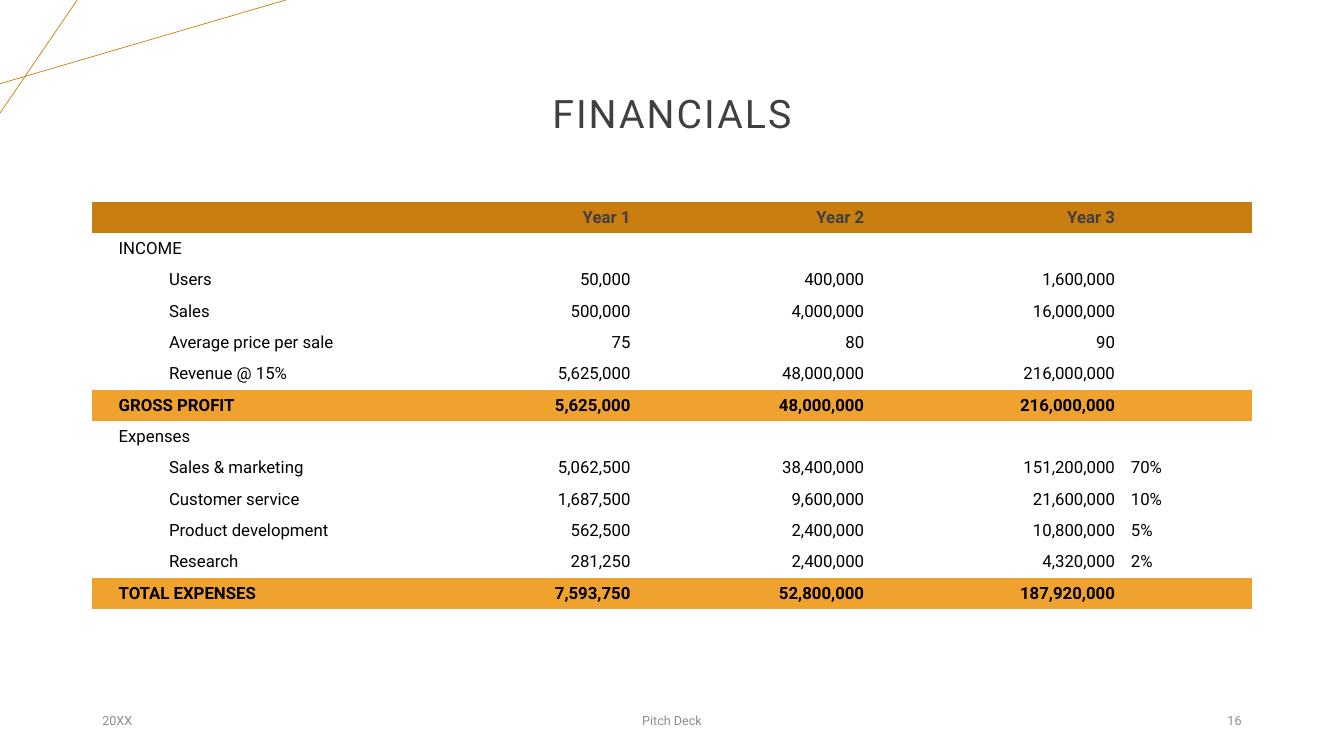
from lxml.etree import SubElement
from pptx import Presentation
from pptx.dml.color import RGBColor as Rgb
from pptx.enum.shapes import MSO_CONNECTOR as Connector
from pptx.enum.text import MSO_ANCHOR as Anchor, PP_ALIGN as Align
from pptx.oxml.ns import qn
from pptx.util import Cm, Pt

COLORS = {
    "header": "C87D0E",
    "total": "F0A22E",
    "heading": "404040",
    "body": "000000",
    "footer": "8C8C8C",
}
FONT = "Roboto"
NO_GRID_STYLE = "{2D5ABB26-0587-4C30-8999-92F81FD0307C}"
LEFT, CONTENT_WIDTH = 2.33, 29.21
COLUMN_WIDTHS = [8.98, 4.78, 5.89, 6.32, 3.24]
ROW_HEIGHT = 0.79
CELL_INSETS = {"margin_left": 0.2, "margin_top": 0.1, "margin_right": 0.2, "margin_bottom": 0.1}
LABEL_INSET = 0.66
ITEM_INDENT = 1.27

FINANCIALS = [
    ("header", ["", "Year 1", "Year 2", "Year 3", ""]),
    ("section", ["INCOME", "", "", "", ""]),
    ("item", ["Users", "50,000", "400,000", "1,600,000", ""]),
    ("item", ["Sales", "500,000", "4,000,000", "16,000,000", ""]),
    ("item", ["Average price per sale", "75", "80", "90", ""]),
    ("item", ["Revenue @ 15%", "5,625,000", "48,000,000", "216,000,000", ""]),
    ("total", ["GROSS PROFIT", "5,625,000", "48,000,000", "216,000,000", ""]),
    ("section", ["Expenses", "", "", "", ""]),
    ("item", ["Sales & marketing", "5,062,500", "38,400,000", "151,200,000", "70%"]),
    ("item", ["Customer service", "1,687,500", "9,600,000", "21,600,000", "10%"]),
    ("item", ["Product development", "562,500", "2,400,000", "10,800,000", "5%"]),
    ("item", ["Research", "281,250", "2,400,000", "4,320,000", "2%"]),
    ("total", ["TOTAL EXPENSES", "7,593,750", "52,800,000", "187,920,000", ""]),
]


def write_text(paragraph, text, color, size, align=Align.LEFT, bold=False):
    paragraph.alignment = align
    run = paragraph.add_run()
    run.text = text
    for attribute, value in {"name": FONT, "size": Pt(size), "bold": bold}.items():
        setattr(run.font, attribute, value)
    run.font.color.rgb = Rgb.from_string(COLORS[color])
    return run


def add_label(slide, box, text, color, size, align):
    frame = slide.shapes.add_textbox(*map(Cm, box)).text_frame
    for attribute, value in {"word_wrap": True, "vertical_anchor": Anchor.MIDDLE}.items():
        setattr(frame, attribute, value)
    return write_text(frame.paragraphs[0], text, color, size, align)


def add_corner_lines(slide, box):
    left, top, width, height = box
    for start, end in [
        ((left, top + 0.74 * height), (left + width, top)),
        ((left + 0.27 * width, top), (left, top + height)),
    ]:
        line = slide.shapes.add_connector(Connector.STRAIGHT, *map(Cm, start + end))
        line.line.color.rgb = Rgb.from_string(COLORS["header"])
        line.line.width = Pt(0.5)
        SubElement(line._element.spPr, qn("a:effectLst"))


def add_title(slide, box):
    title = add_label(slide, box, "FINANCIALS", "heading", 28, Align.CENTER)
    title.font._element.set("spc", "150")


def fill_cell(cell, kind, column, text):
    for attribute, value in CELL_INSETS.items():
        setattr(cell, attribute, Cm(value))
    cell.vertical_anchor = Anchor.MIDDLE
    if kind in COLORS:
        cell.fill.solid()
        cell.fill.fore_color.rgb = Rgb.from_string(COLORS[kind])
    else:
        cell.fill.background()
    paragraph = cell.text_frame.paragraphs[0]
    if not text:
        SubElement(paragraph._p, qn("a:endParaRPr"), sz="1200")
        return
    if column == 0:
        cell.margin_left = Cm(LABEL_INSET)
        if kind == "item":
            paragraph.level = 1
            paragraph._p.get_or_add_pPr().set("marL", str(Cm(ITEM_INDENT)))
    color = "heading" if kind == "header" else "body"
    align = Align.RIGHT if 1 <= column <= 3 else Align.LEFT
    write_text(paragraph, text, color, 12, align, kind in COLORS)


def add_financials_table(slide, box):
    size = len(FINANCIALS), len(COLUMN_WIDTHS)
    table = slide.shapes.add_table(*size, *map(Cm, box)).table
    table._tbl.tblPr.find(qn("a:tableStyleId")).text = NO_GRID_STYLE
    for attribute in ("first_row", "horz_banding"):
        setattr(table, attribute, False)
    for column, width in zip(table.columns, COLUMN_WIDTHS):
        column.width = Cm(width)
    for row, (kind, texts) in zip(table.rows, FINANCIALS):
        row.height = Cm(ROW_HEIGHT)
        for column, text in enumerate(texts):
            fill_cell(row.cells[column], kind, column, text)


def add_footer(slide, box):
    left, top, width, height = box
    side, middle = 7.62, 11.43
    for text, x, part_width, align in [
        ("20XX", left, side, Align.LEFT),
        ("Pitch Deck", left + (width - middle) / 2, middle, Align.CENTER),
        ("16", left + width - side, side, Align.RIGHT),
    ]:
        add_label(slide, (x, top, part_width, height), text, "footer", 9, align)


def main():
    deck = Presentation()
    deck.slide_width, deck.slide_height = Cm(33.87), Cm(19.05)
    slide = deck.slides.add_slide(deck.slide_layouts[6])
    add_corner_lines(slide, (0, 0, 7.2, 2.85))
    add_title(slide, (LEFT, 1.01, CONTENT_WIDTH, 3.68))
    add_financials_table(slide, (LEFT, 5.08, CONTENT_WIDTH, ROW_HEIGHT * len(FINANCIALS)))
    add_footer(slide, (LEFT, 17.66, CONTENT_WIDTH, 1.01))
    deck.save("out.pptx")


if __name__ == "__main__":
    main()
